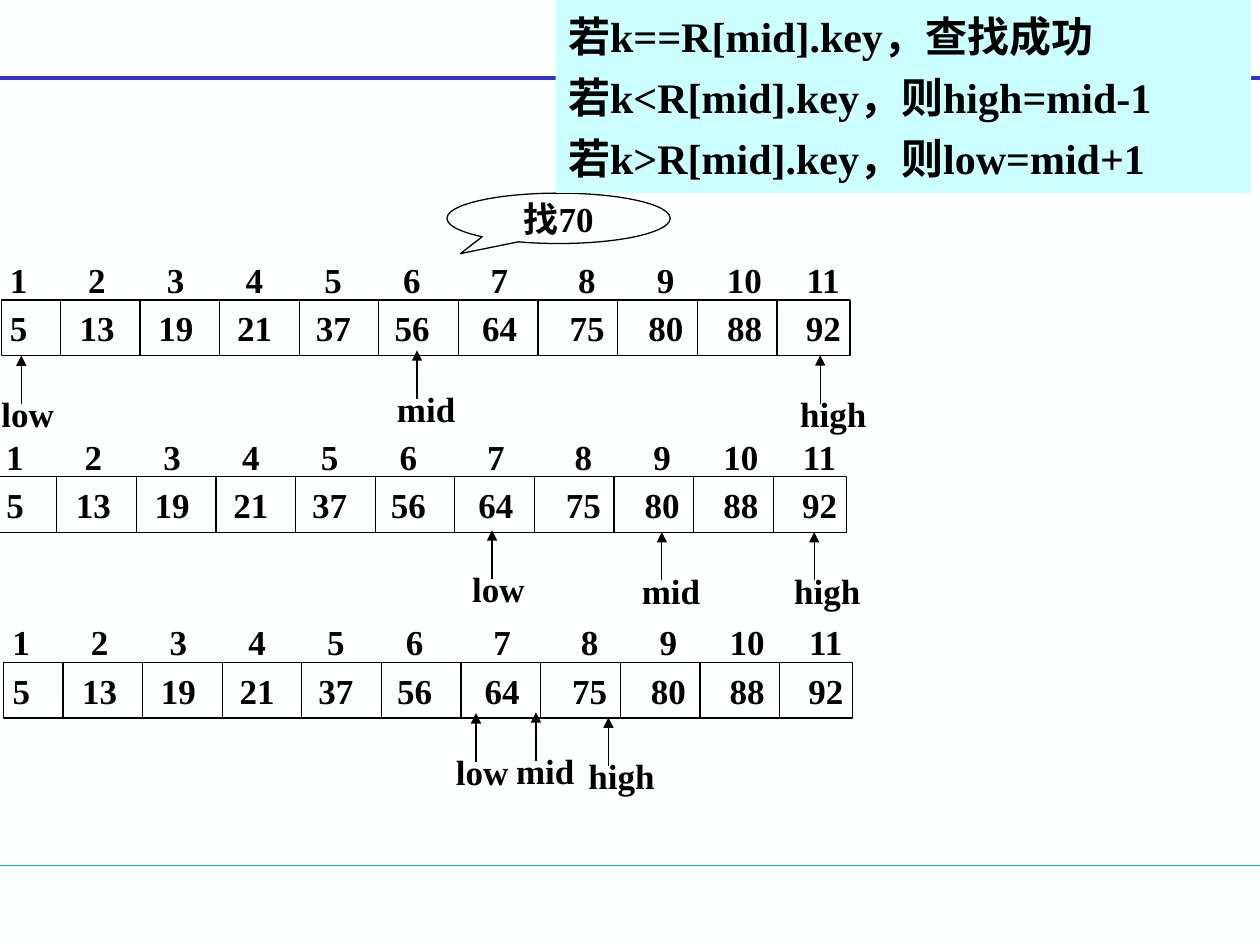
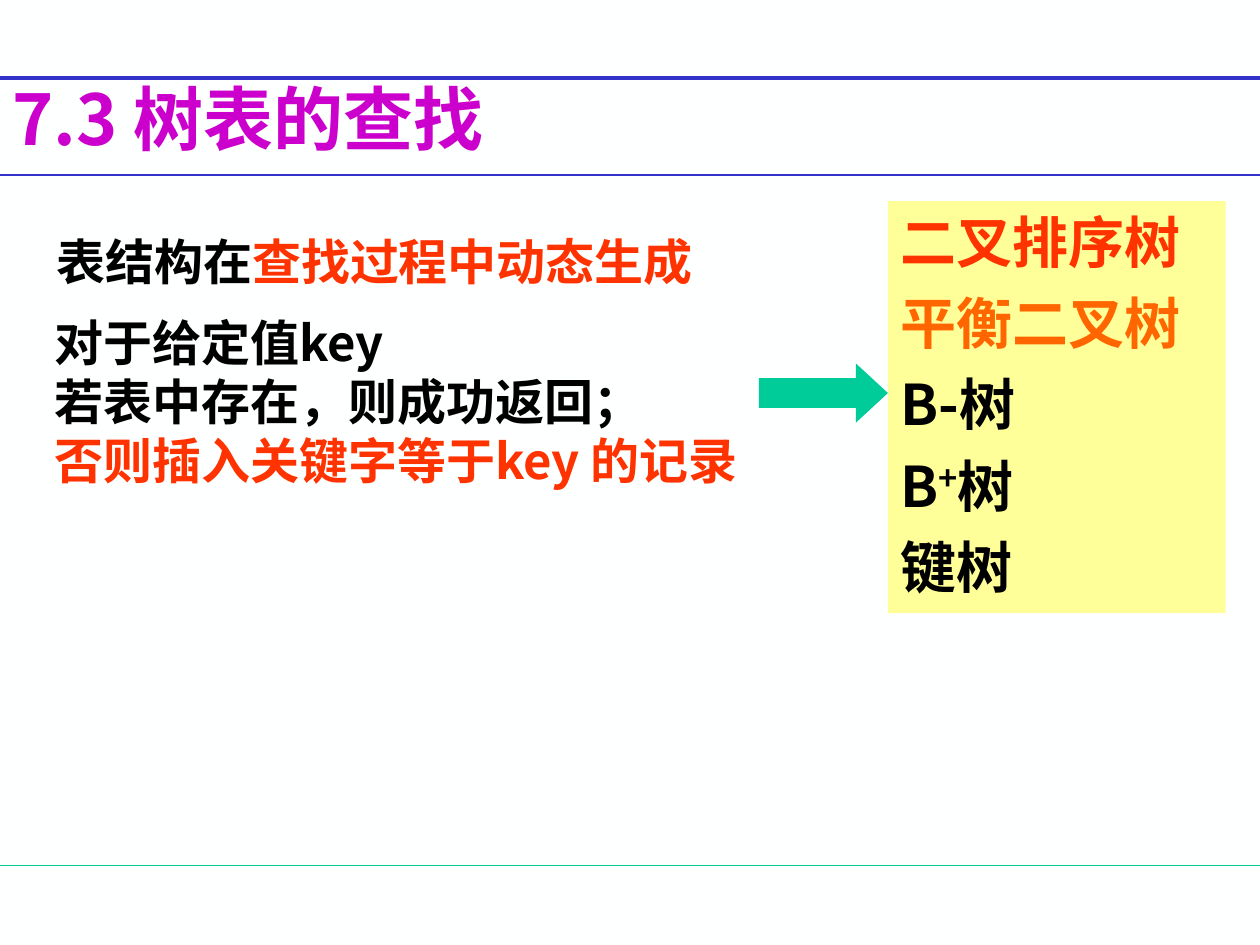
from itertools import accumulate

from lxml.etree import SubElement
from pptx import Presentation
from pptx.dml.color import RGBColor
from pptx.enum.shapes import MSO_CONNECTOR, MSO_SHAPE as SHAPE
from pptx.enum.text import MSO_ANCHOR as ANCHOR, PP_ALIGN as ALIGN
from pptx.oxml.ns import qn
from pptx.util import Pt

PAGE = RGBColor(0xFE, 0xFF, 0xFF)
BLACK = RGBColor(0, 0, 0)
BLUE = RGBColor(0x33, 0x33, 0xCC)
GREEN = RGBColor(0x00, 0xCC, 0x99)
PURPLE = RGBColor(0xCC, 0x00, 0xCC)
RED = RGBColor(0xFF, 0x33, 0x00)
ORANGE = RGBColor(0xFF, 0x66, 0x00)
CYAN = RGBColor(0xCC, 0xFF, 0xFF)
YELLOW = RGBColor(0xFF, 0xFF, 0x99)
TIMES, NOTO = "Times New Roman", "Noto Sans CJK SC"
WIDTH, HEIGHT = 720, 540


def add_line(s, x1, y1, x2, y2, color=BLACK, width=0.75, arrow=False):
    c = s.shapes.add_connector(MSO_CONNECTOR.STRAIGHT, Pt(x1), Pt(y1), Pt(x2), Pt(y2))
    c.line.color.rgb = color
    c.line.width = Pt(width)
    if arrow:
        SubElement(c.line._get_or_add_ln(), qn("a:tailEnd"), type="triangle")
    SubElement(c._element.spPr, qn("a:effectLst"))


def add_text(s, lines, x, y, w, h, shape=None, fill=None, outline=None, font=TIMES,
             size=20, color=BLACK, align=ALIGN.LEFT, anchor=ANCHOR.TOP, wrap=True,
             inset=7.2, right_inset=7.2, before=0, tabs=()):
    """Add a text box or preset shape; a line is a string or a list of (text, color, baseline)."""
    box = Pt(x), Pt(y), Pt(w), Pt(h)
    if shape is None:
        sp = s.shapes.add_textbox(*box)
    else:
        sp = s.shapes.add_shape(shape, *box)
        sp.shadow.inherit = False
        if fill is None:
            sp.fill.background()
        else:
            sp.fill.solid()
            sp.fill.fore_color.rgb = fill
        if outline is None:
            sp.line.fill.background()
        else:
            sp.line.color.rgb = outline
            sp.line.width = Pt(0.75)
    tf = sp.text_frame
    tf.word_wrap = wrap
    tf.vertical_anchor = anchor
    tf.margin_left, tf.margin_right = Pt(inset), Pt(right_inset)
    for i, line in enumerate(lines):
        p = tf.add_paragraph() if i else tf.paragraphs[0]
        p.alignment = align
        if tabs:
            tab_list = SubElement(p._p.get_or_add_pPr(), qn("a:tabLst"))
            for pos in tabs:
                SubElement(tab_list, qn("a:tab"), pos=str(Pt(pos)), algn="ctr")
        if i and before:
            p.space_before = Pt(before)
        runs = [(line, color, 0)] if isinstance(line, str) else line
        for text, run_color, baseline in runs:
            r = p.add_run()
            r.text = text
            r.font.name = font
            r.font.size = Pt(size)
            r.font.bold = True
            r.font.color.rgb = run_color
            rPr = r.font._element
            if font == NOTO:
                SubElement(rPr, qn("a:ea"), typeface=font)
            if baseline:
                rPr.set("baseline", str(baseline * 1000))
    return sp


prs = Presentation()
prs.slide_width, prs.slide_height = Pt(WIDTH), Pt(HEIGHT)
slides = []
for _ in range(2):
    s = prs.slides.add_slide(prs.slide_layouts[6])
    s.background.fill.solid()
    s.background.fill.fore_color.rgb = PAGE
    add_line(s, 0, 494.75, WIDTH, 494.75, GREEN)
    add_line(s, 0, 44.6, WIDTH, 44.6, BLUE, 2.25)
    slides.append(s)
search, trees = slides

# Slide 1: binary search for 70, one array per step
KEYS = [5, 13, 19, 21, 37, 56, 64, 75, 80, 88, 92]
ROW_W, ROW_H, CELL_W = 485, 31.8, 45.5
CENTERS = list(accumulate([49.8] + [45] * 4 + [50] * 2 + [45] * 3))
INDEX_TEXT = "\t".join(str(i + 1) for i in range(len(KEYS)))
KEY_TEXT = "\t".join(str(k) for k in KEYS)
LABEL_W = {"low": 44, "mid": 47.5, "high": 52}

# Left and top of each array, then the tips of its pointers
STEPS = [
    (0.7, 171.5, {"low": (12.2, 203.2), "high": (468.7, 203), "mid": (238.3, 200.2)}),
    (-1.4, 272.5, {"low": (281.2, 303), "high": (465.3, 304), "mid": (378.2, 304)}),
    (2.2, 378.5, {"low": (272, 407.5), "high": (347.7, 410), "mid": (306.3, 407)}),
]
for left, top, pointers in STEPS:
    add_text(search, [INDEX_TEXT], left - 2.2, top - 27.3, 490.3, ROW_H,
             right_inset=0, tabs=CENTERS)
    add_text(search, [KEY_TEXT], left, top, ROW_W, ROW_H, shape=SHAPE.RECTANGLE,
             outline=BLACK, anchor=ANCHOR.MIDDLE, inset=5, right_inset=0, tabs=CENTERS)
    for i in range(len(KEYS) - 1):
        x = left + 33.8 + i * CELL_W
        add_line(search, x, top, x, top + ROW_H)
    for name, (x, y) in pointers.items():
        add_line(search, x, y + 27.7, x, y, arrow=True)
        add_text(search, [name], x - 18.5, y + 17.8, LABEL_W[name], ROW_H, right_inset=0)

callout = add_text(search, ["找70"], 255.4, 110.4, 127.6, 28.8,
                   shape=SHAPE.OVAL_CALLOUT, outline=BLACK, align=ALIGN.CENTER,
                   anchor=ANCHOR.MIDDLE, wrap=False)
callout.adjustments[0], callout.adjustments[1] = -0.44, 0.7

add_text(search, ["若k==R[mid].key，查找成功",
                  "若k<R[mid].key，则high=mid-1",
                  "若k>R[mid].key，则low=mid+1"],
         317.5, 0, 397.5, 110.2, shape=SHAPE.RECTANGLE, fill=CYAN, size=24,
         anchor=ANCHOR.MIDDLE, before=6)

# Slide 2: search in tree tables
add_text(trees, ["7.3 树表的查找"], 0, 40.3, 484.6, 54, font=NOTO, size=40,
         color=PURPLE, anchor=ANCHOR.MIDDLE)
add_line(trees, 0, 100, WIDTH, 100, BLUE, 1)
add_text(trees, [[("表结构在", BLACK, 0), ("查找过程中动态生成", RED, 0)]],
         25.2, 128.9, 378, 41, font=NOTO, size=28, wrap=False)
add_text(trees, ["对于给定值key", "若表中存在，则成功返回；",
                 [("否则插入关键字等于key 的记录", RED, 0)]],
         24.3, 175, 409.7, 142, font=NOTO, size=28)
add_text(trees, [[("二叉排序树", RED, 0)], [("平衡二叉树", ORANGE, 0)], "B-树",
                 [("B", BLACK, 0), ("+", BLACK, 30), ("树", BLACK, 0)], "键树"],
         507.4, 115, 193, 235.4, shape=SHAPE.RECTANGLE, fill=YELLOW, font=NOTO,
         size=32, before=8)
arrow = add_text(trees, [], 433.7, 207.6, 73.7, 34, shape=SHAPE.RIGHT_ARROW, fill=GREEN)
arrow.adjustments[0], arrow.adjustments[1] = 0.5, 0.54

prs.save("out.pptx")
